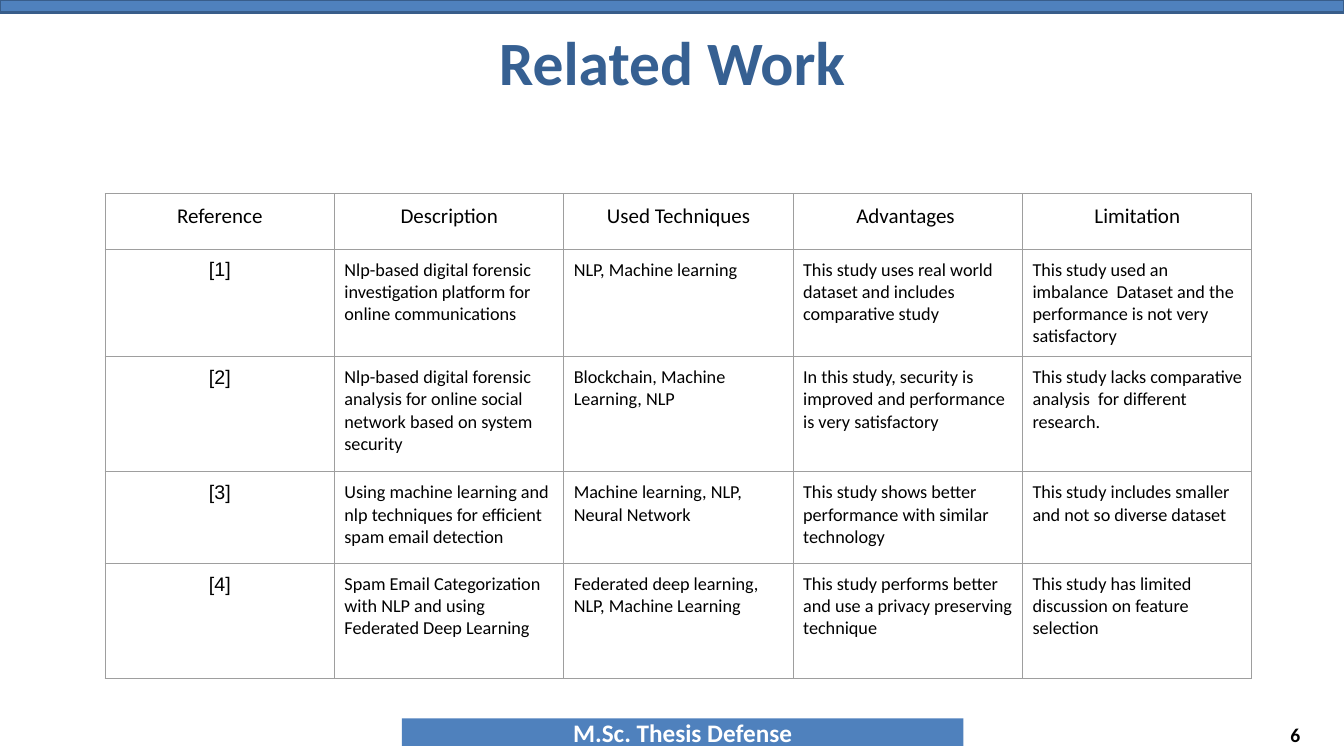
from dataclasses import dataclass

from lxml.etree import SubElement
from pptx import Presentation
from pptx.dml.color import RGBColor as RGB
from pptx.enum.shapes import MSO_SHAPE as SHAPE
from pptx.enum.text import MSO_ANCHOR as ANCHOR, PP_ALIGN as ALIGN
from pptx.oxml.ns import qn
from pptx.util import Cm, Pt


@dataclass(frozen=True)
class Theme:
    blue: str = "4F81BD"
    edge: str = "385D8A"
    heading: str = "366092"
    black: str = "000000"
    white: str = "FFFFFF"
    grid: str = "9E9E9E"
    font: str = "Calibri"
    reference_font: str = "Arial"
    title_size: int = 44
    footer_size: int = 18
    header_size: int = 15
    number_size: int = 14
    body_size: int = 13


THEME = Theme()

HEADERS = ["Reference", "Description", "Used Techniques", "Advantages ", "Limitation"]
STUDIES = [
    ["[1]",
     "Nlp-based digital forensic\ninvestigation platform for online communications",
     "NLP, Machine learning",
     "This study uses real world dataset and includes comparative study",
     "This study used an imbalance  Dataset and the performance is not very satisfactory"],
    ["[2]",
     "Nlp-based digital forensic analysis for online social network based on system security",
     "Blockchain, Machine Learning, NLP",
     "In this study, security is improved and performance is very satisfactory",
     "This study lacks comparative analysis  for different research."],
    ["[3]",
     "Using machine learning and nlp techniques for efficient spam email detection",
     "Machine learning, NLP, Neural Network",
     "This study shows better performance with similar technology",
     "This study includes smaller and not so diverse dataset"],
    ["[4]",
     "Spam Email Categorization with NLP and using\nFederated Deep Learning",
     "Federated deep learning, NLP, Machine Learning",
     "This study performs better and use a privacy preserving technique",
     "This study has limited discussion on feature selection"],
]
COLUMN_WIDTH = 5.78
ROW_HEIGHTS = [1.4, 2.31, 2.9, 2.31, 2.9]


def write(tf, text, size, color, align=ALIGN.LEFT, font=THEME.font, bold=False):
    tf.text = text
    tf.word_wrap = True
    for p in tf.paragraphs:
        p.alignment = align
        p.font.name = font
        p.font.size = Pt(size)
        p.font.bold = bold
        p.font.color.rgb = RGB.from_string(color)


def add_bar(s, left, top, width, height, edge=None):
    sp = s.shapes.add_shape(SHAPE.RECTANGLE, Cm(left), Cm(top), Cm(width), Cm(height))
    sp.shadow.inherit = False
    sp.fill.solid()
    sp.fill.fore_color.rgb = RGB.from_string(THEME.blue)
    if edge:
        sp.line.color.rgb = RGB.from_string(edge)
        sp.line.width = Pt(2)
    else:
        sp.line.fill.background()
    return sp


def add_label(s, left, top, width, height, text, size, color, align):
    sp = s.shapes.add_textbox(Cm(left), Cm(top), Cm(width), Cm(height))
    sp.text_frame.vertical_anchor = ANCHOR.MIDDLE
    write(sp.text_frame, text, size, color, align, bold=True)


def add_borders(cell):
    tc_pr = cell._tc.get_or_add_tcPr()
    for side in ("a:lnL", "a:lnR", "a:lnT", "a:lnB"):
        ln = SubElement(tc_pr, qn(side), w=str(Pt(0.75)))
        fill = SubElement(ln, qn("a:solidFill"))
        SubElement(fill, qn("a:srgbClr"), val=THEME.grid)


def fill_cell(cell, text, row, column):
    cell.margin_left = cell.margin_right = Cm(0.25)
    cell.margin_top = cell.margin_bottom = Cm(0.25)
    add_borders(cell)
    cell.fill.background()
    tf = cell.text_frame
    if row == 0:
        write(tf, text, THEME.header_size, THEME.black, ALIGN.CENTER)
    elif column == 0:
        write(tf, text, THEME.number_size, THEME.black, ALIGN.CENTER, THEME.reference_font)
    else:
        write(tf, text, THEME.body_size, THEME.black)


def add_study_table(s, left, top):
    rows = [HEADERS, *STUDIES]
    frame = s.shapes.add_table(len(rows), len(HEADERS), Cm(left), Cm(top),
                               Cm(COLUMN_WIDTH * len(HEADERS)), Cm(sum(ROW_HEIGHTS)))
    table = frame.table
    table.first_row = table.horz_banding = False
    for column in table.columns:
        column.width = Cm(COLUMN_WIDTH)
    for i, (texts, height) in enumerate(zip(rows, ROW_HEIGHTS)):
        table.rows[i].height = Cm(height)
        for j, text in enumerate(texts):
            fill_cell(table.cell(i, j), text, i, j)


def main():
    prs = Presentation()
    prs.slide_width, prs.slide_height = Cm(33.87), Cm(19.05)
    s = prs.slides.add_slide(prs.slide_layouts[6])

    footer = add_bar(s, 10.13, 18.1, 14.15, 0.7)
    footer.text_frame.vertical_anchor = ANCHOR.MIDDLE
    write(footer.text_frame, "M.Sc. Thesis Defense", THEME.footer_size, THEME.white,
          ALIGN.CENTER, bold=True)
    add_bar(s, 0, 0, 33.87, 0.31, THEME.edge)
    add_label(s, 1.7, 0.76, 30.48, 1.55, "Related Work", THEME.title_size,
              THEME.heading, ALIGN.CENTER)
    add_label(s, 25.12, 18, 7.9, 1.02, "6", THEME.number_size, THEME.black, ALIGN.RIGHT)
    add_study_table(s, 2.65, 4.88)

    prs.save("out.pptx")


if __name__ == "__main__":
    main()
